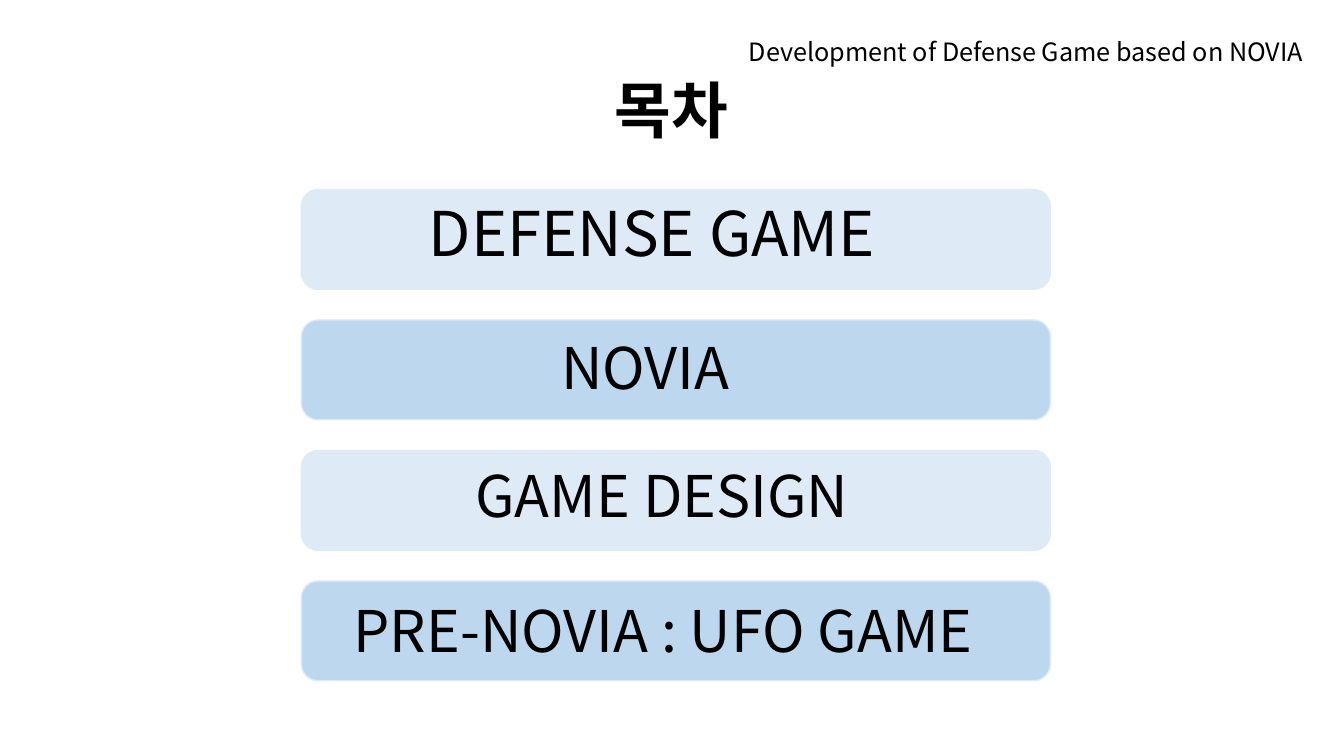
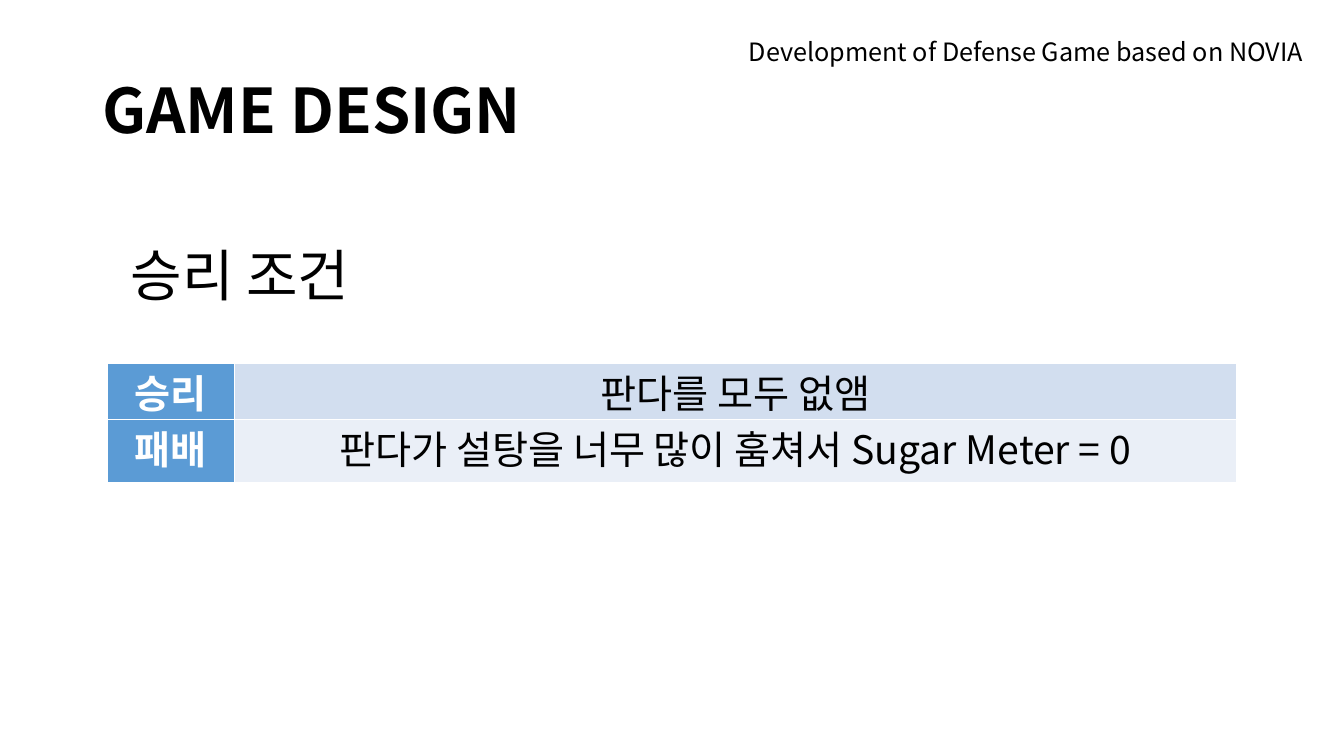
from lxml import etree
from pptx import Presentation
from pptx.dml.color import RGBColor as RGB
from pptx.enum.shapes import MSO_SHAPE as Shape
from pptx.enum.text import MSO_ANCHOR as Anchor, PP_ALIGN as Align
from pptx.oxml.ns import qn
from pptx.util import Pt

FONT = "Noto Sans CJK KR"
COLORS = {
    "text": "000000",
    "white": "FFFFFF",
    "pale": "DEEBF7",
    "sky": "BDD7EE",
    "head": "5B9BD5",
    "band_dark": "D2DEEF",
    "band_light": "EAEFF7",
}
RUNNING_HEAD = "Development of Defense Game based on NOVIA"


def color(name):
    return RGB.from_string(COLORS[name])


class Deck:
    def __init__(self):
        self.prs = Presentation()
        self.prs.slide_width, self.prs.slide_height = Pt(960), Pt(540)
        self.s = None

    def slide(self, title, title_left):
        """Start a slide with its title and the running head."""
        self.s = self.prs.slides.add_slide(self.prs.slide_layouts[6])
        self.text(title, title_left, 29, 828, 104.4, 44, bold=True,
                  anchor=Anchor.MIDDLE, spacing=0.9)
        self.text(RUNNING_HEAD, 527.76, 22.32, 473.76, 28.8, 18)

    def style(self, p, size, ink="text", bold=False, align=Align.LEFT):
        """Format a paragraph, with the font set for Latin and Korean."""
        p.alignment = align
        for r in p.runs:
            r.font.size, r.font.bold, r.font.name = Pt(size), bold, FONT
            r.font.color.rgb = color(ink)
            ea = etree.SubElement(r.font._element, qn("a:ea"))
            ea.set("typeface", FONT)

    def text(self, text, left, top, width, height, size, bold=False,
             align=Align.LEFT, anchor=Anchor.TOP, spacing=1.0, before=0):
        sp = self.s.shapes.add_textbox(Pt(left), Pt(top), Pt(width), Pt(height))
        tf = sp.text_frame
        tf.word_wrap, tf.vertical_anchor = True, anchor
        tf.text = text
        p = tf.paragraphs[0]
        p.line_spacing, p.space_before = spacing, Pt(before)
        self.style(p, size, bold=bold, align=align)

    def bar(self, left, top, width, height, fill):
        sp = self.s.shapes.add_shape(Shape.ROUNDED_RECTANGLE, Pt(left), Pt(top),
                                     Pt(width), Pt(height))
        sp.shadow.inherit = False
        sp.fill.solid()
        sp.fill.fore_color.rgb = color(fill)
        sp.line.color.rgb = color("pale")
        sp.line.width = Pt(1)

    def cell(self, cell, text, fill, ink, bold):
        cell.text = text
        cell.margin_top = cell.margin_bottom = 0
        self.style(cell.text_frame.paragraphs[0], 28, ink, bold, Align.CENTER)
        props = cell._tc.get_or_add_tcPr()
        for side in ("a:lnL", "a:lnR", "a:lnT", "a:lnB"):
            line = etree.SubElement(props, qn(side), w=str(Pt(1)))
            solid = etree.SubElement(line, qn("a:solidFill"))
            etree.SubElement(solid, qn("a:srgbClr"), val=COLORS["white"])
        cell.fill.solid()
        cell.fill.fore_color.rgb = color(fill)

    def table(self, rows, left, top, widths, heights):
        """Draw a table with a bold first column and banded rows."""
        tbl = self.s.shapes.add_table(len(rows), len(widths), Pt(left), Pt(top),
                                      Pt(sum(widths)), Pt(sum(heights))).table
        tbl.first_row, tbl.first_col = False, True
        for col, width in zip(tbl.columns, widths):
            col.width = Pt(width)
        for i, (head, body) in enumerate(rows):
            tbl.rows[i].height = Pt(heights[i])
            band = "band_light" if i % 2 else "band_dark"
            self.cell(tbl.cell(i, 0), head, "head", "white", True)
            self.cell(tbl.cell(i, 1), body, band, "text", False)


def contents(deck):
    deck.slide("목차", 432)
    for i in range(4):
        deck.bar(215.28, 135.36 + i * 93.2, 535, 71.28, "sky" if i % 2 else "pale")
    deck.text("DEFENSE GAME", 251.28, 141.84, 429.12, 65.52, 44,
              align=Align.CENTER, spacing=0.9, before=10)
    for label, left, top, width in (
        ("NOVIA", 393.84, 234, 170.64),
        ("GAME DESIGN", 332.64, 325.44, 497.52),
        ("PRE-NOVIA : UFO GAME", 245.52, 421.2, 584.64),
    ):
        deck.text(label, left, top, width, 78.48, 41)


def game_design(deck):
    deck.slide("GAME DESIGN", 66.24)
    deck.text("승리 조건", 86.4, 168.48, 313.2, 55.44, 40)
    deck.table(
        [("승리", "판다를 모두 없앰"),
         ("패배", "판다가 설탕을 너무 많이 훔쳐서 Sugar Meter = 0")],
        76.8, 259.6, widths=(90.6, 715.6), heights=(40, 45))


def main():
    deck = Deck()
    contents(deck)
    game_design(deck)
    deck.prs.save("out.pptx")


if __name__ == "__main__":
    main()
